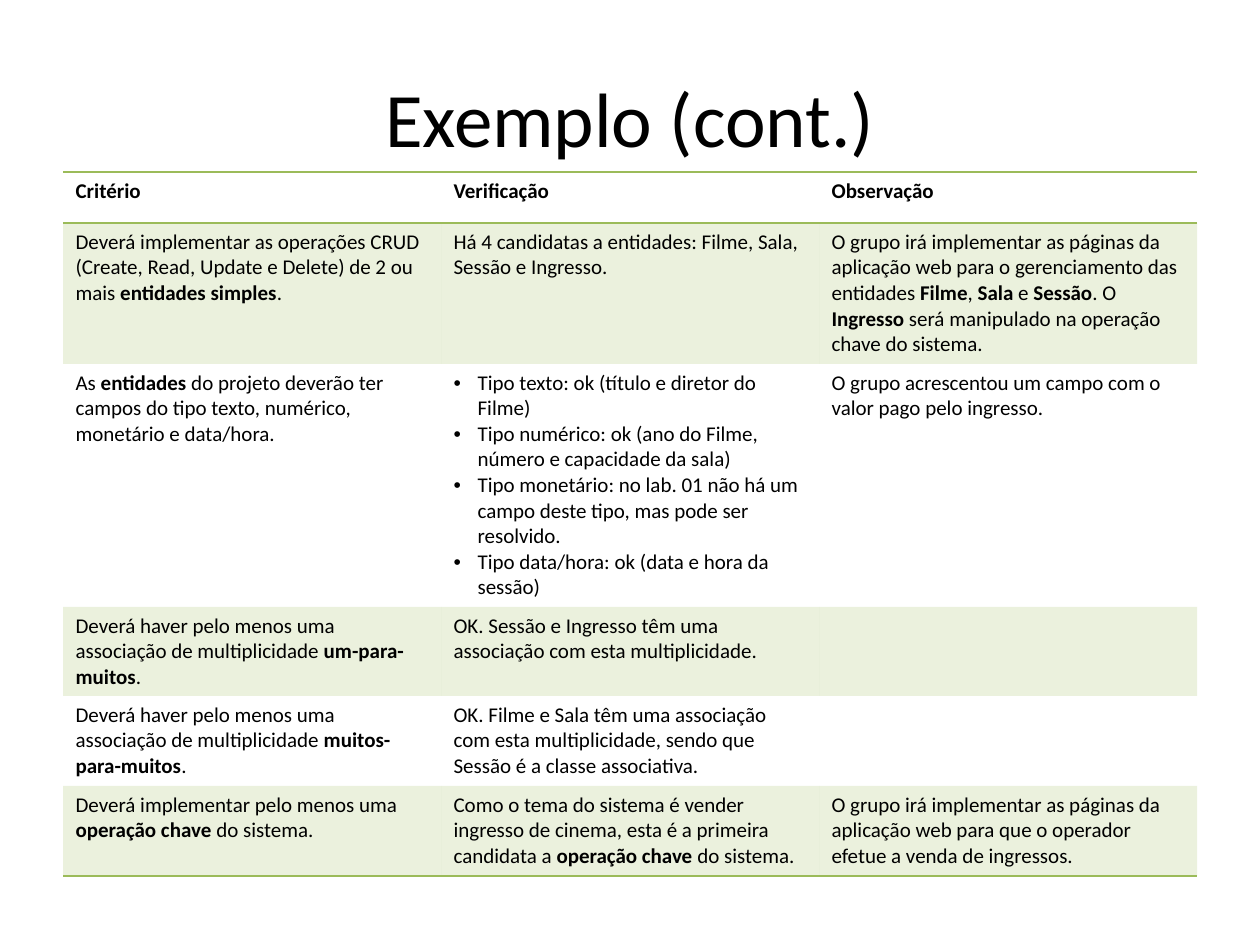
from pptx import Presentation
from pptx.dml.color import RGBColor
from pptx.enum.text import MSO_ANCHOR, PP_ALIGN
from pptx.oxml.ns import qn
from pptx.oxml.xmlchemy import OxmlElement as Element
from pptx.util import Emu, Pt

PX_PER_INCH = 126
BLACK = RGBColor(0x00, 0x00, 0x00)
GREEN = RGBColor(0x9B, 0xBB, 0x59)
FONT = "Calibri"
NO_STYLE_NO_GRID = "{2D5ABB26-0587-4C30-8999-92F81FD0307C}"
COLUMN_WIDTH = 378
ROW_HEIGHTS = [51, 141, 243, 89, 90, 90]
BULLET_INDENT = 24

CRITERIA = [
    ["**Critério**", "**Verificação**", "**Observação**"],
    [
        "Deverá implementar as operações CRUD (Create, Read, Update e Delete) de 2 ou mais "
        "**entidades simples**.",
        "Há 4 candidatas a entidades: Filme, Sala, Sessão e Ingresso.",
        "O grupo irá implementar as páginas da aplicação web para o gerenciamento das entidades "
        "**Filme**, **Sala** e **Sessão**. O **Ingresso** será manipulado na operação chave do sistema.",
    ],
    [
        "As **entidades** do projeto deverão ter campos do tipo texto, numérico, monetário e data/hora.",
        [
            "Tipo texto: ok (título e diretor do Filme)",
            "Tipo numérico: ok (ano do Filme, número e capacidade da sala)",
            "Tipo monetário: no lab. 01 não há um campo deste tipo, mas pode ser resolvido.",
            "Tipo data/hora: ok (data e hora da sessão)",
        ],
        "O grupo acrescentou um campo com o valor pago pelo ingresso.",
    ],
    [
        "Deverá haver pelo menos uma associação de multiplicidade **um-para-muitos**.",
        "OK. Sessão e Ingresso têm uma associação com esta multiplicidade.",
        "",
    ],
    [
        "Deverá haver pelo menos uma associação de multiplicidade **muitos-para-muitos**.",
        "OK. Filme e Sala têm uma associação com esta multiplicidade, sendo que Sessão é a classe "
        "associativa.",
        "",
    ],
    [
        "Deverá implementar pelo menos uma **operação chave **do sistema.",
        "Como o tema do sistema é vender ingresso de cinema, esta é a primeira candidata a "
        "**operação chave** do sistema.",
        "O grupo irá implementar as páginas da aplicação web para que o operador efetue a venda "
        "de ingressos.",
    ],
]


def px(length):
    """Turn whole pixels into EMU."""
    return Emu(round(length * 914400 / PX_PER_INCH))


def style_font(font, size, bold=False):
    """Apply the slide typeface in black."""
    font.name, font.size, font.bold = FONT, Pt(size), bold
    font.color.rgb = BLACK


def add_title(slide, title):
    """Add the centred heading."""
    heading = slide.shapes.add_textbox(px(63), px(38), px(1134), px(157)).text_frame
    heading.word_wrap = True
    heading.vertical_anchor = MSO_ANCHOR.MIDDLE
    heading.text = title
    heading.paragraphs[0].alignment = PP_ALIGN.CENTER
    style_font(heading.paragraphs[0].runs[0].font, 44)


def write_marked(paragraph, marked):
    """Write text whose parts between double asterisks are bold."""
    for position, part in enumerate(marked.split("**")):
        if part:
            run = paragraph.add_run()
            run.text = part
            style_font(run.font, 12, bold=position % 2 == 1)


def add_bullet(paragraph):
    """Give a paragraph a hanging bullet."""
    properties = paragraph._p.get_or_add_pPr()
    properties.set("marL", str(px(BULLET_INDENT)))
    properties.set("indent", str(-px(BULLET_INDENT)))
    bullet_font = Element("a:buFont")
    bullet_font.set("typeface", "Arial")
    bullet = Element("a:buChar")
    bullet.set("char", "•")
    properties.extend([bullet_font, bullet])


def write_cell(cell, content):
    """Fill a cell with a marked sentence or a bulleted list."""
    if isinstance(content, str):
        write_marked(cell.text_frame.paragraphs[0], content)
        return
    cell.text_frame.text = "\n".join(content)
    for paragraph in cell.text_frame.paragraphs:
        add_bullet(paragraph)
        style_font(paragraph.runs[0].font, 12)


def add_border(cell, side):
    """Draw a thin green line on one side of a cell."""
    line = Element(f"a:ln{side}")
    line.set("w", str(Pt(1)))
    fill = Element("a:solidFill")
    color = Element("a:srgbClr")
    color.set("val", str(GREEN))
    fill.append(color)
    line.append(fill)
    cell._tc.get_or_add_tcPr().append(line)


def shade(cell, banded):
    """Tint a banded cell with translucent green and leave others clear."""
    if not banded:
        cell.fill.background()
        return
    cell.fill.solid()
    cell.fill.fore_color.rgb = GREEN
    alpha = Element("a:alpha")
    alpha.set("val", "20000")
    cell._tc.tcPr.find(qn("a:solidFill")).find(qn("a:srgbClr")).append(alpha)


def add_criteria_table(slide):
    """Add the table of criteria with banded rows."""
    columns = len(CRITERIA[0])
    frame = slide.shapes.add_table(
        len(CRITERIA), columns, px(63), px(172), px(columns * COLUMN_WIDTH), px(sum(ROW_HEIGHTS))
    )
    table = frame.table
    table._tbl.tblPr.find(qn("a:tableStyleId")).text = NO_STYLE_NO_GRID
    for column in table.columns:
        column.width = px(COLUMN_WIDTH)
    last = len(CRITERIA) - 1
    for index, (contents, height) in enumerate(zip(CRITERIA, ROW_HEIGHTS)):
        table.rows[index].height = px(height)
        sides = {0: "TB", last: "B"}.get(index, "")
        for cell, content in zip(table.rows[index].cells, contents):
            write_cell(cell, content)
            for side in sides:
                add_border(cell, side)
            shade(cell, banded=index % 2 == 1)


def main():
    """Build and save the slide."""
    deck = Presentation()
    deck.slide_width, deck.slide_height = px(1260), px(945)
    slide = deck.slides.add_slide(deck.slide_layouts[6])
    add_title(slide, "Exemplo (cont.)")
    add_criteria_table(slide)
    deck.save("out.pptx")


if __name__ == "__main__":
    main()
